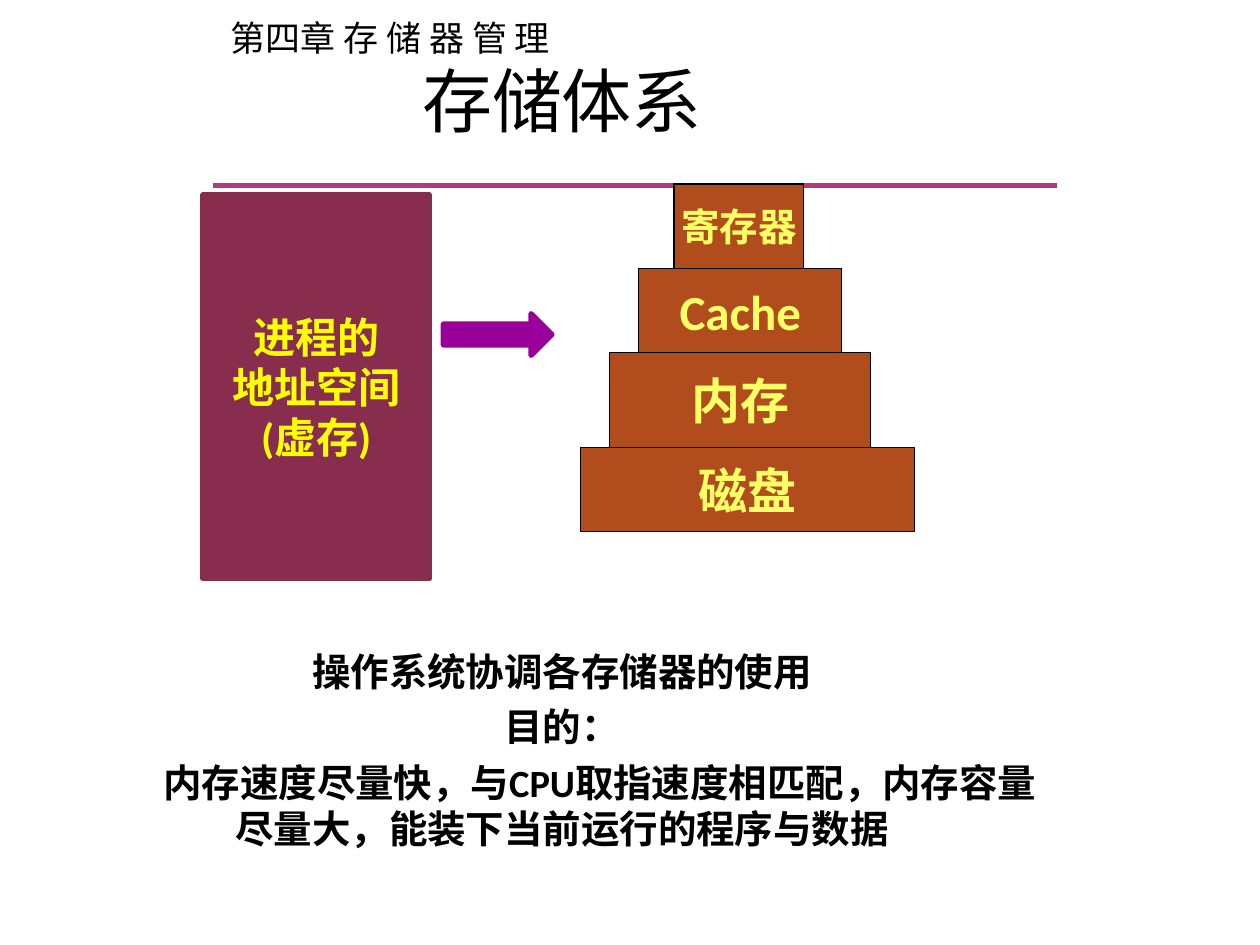
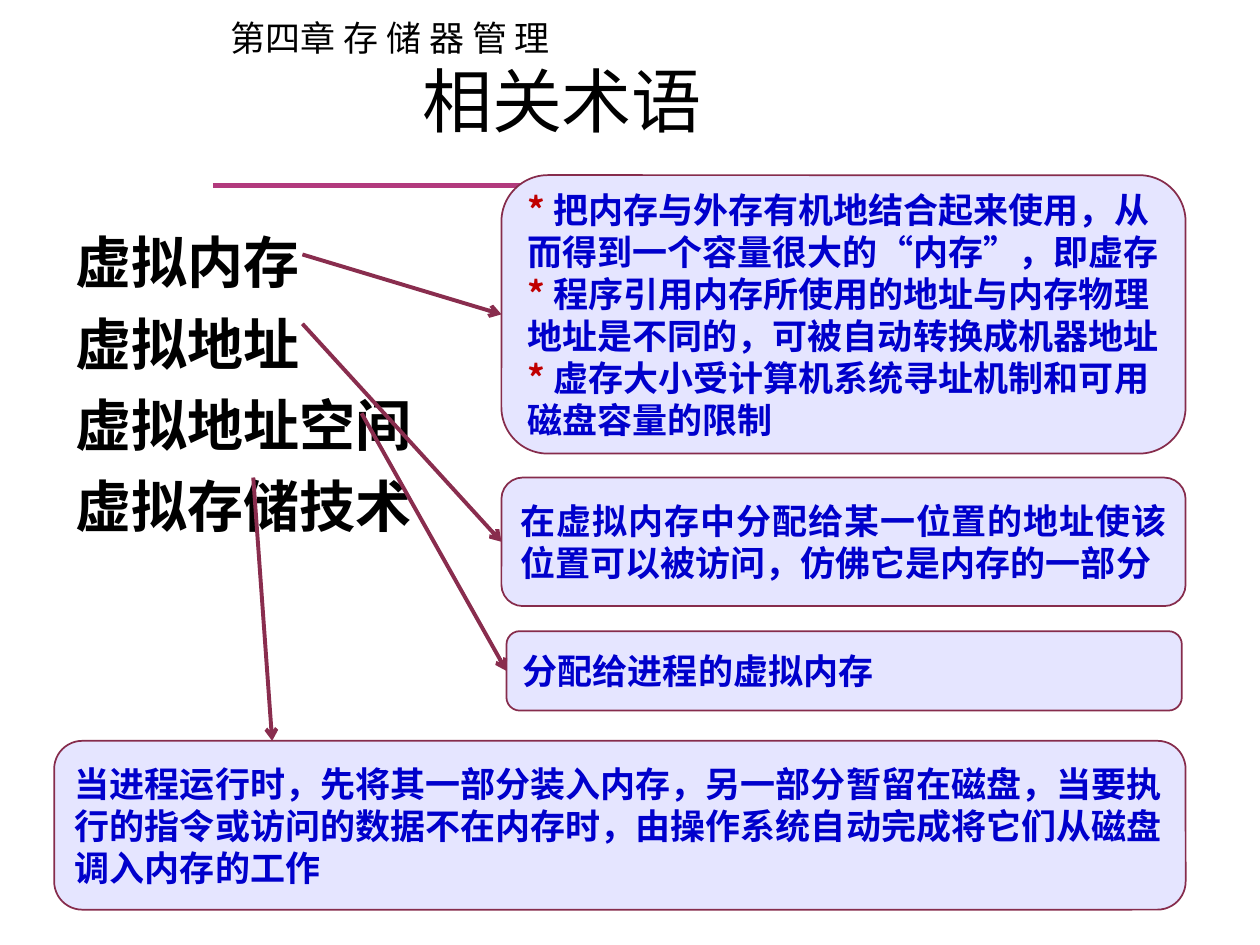
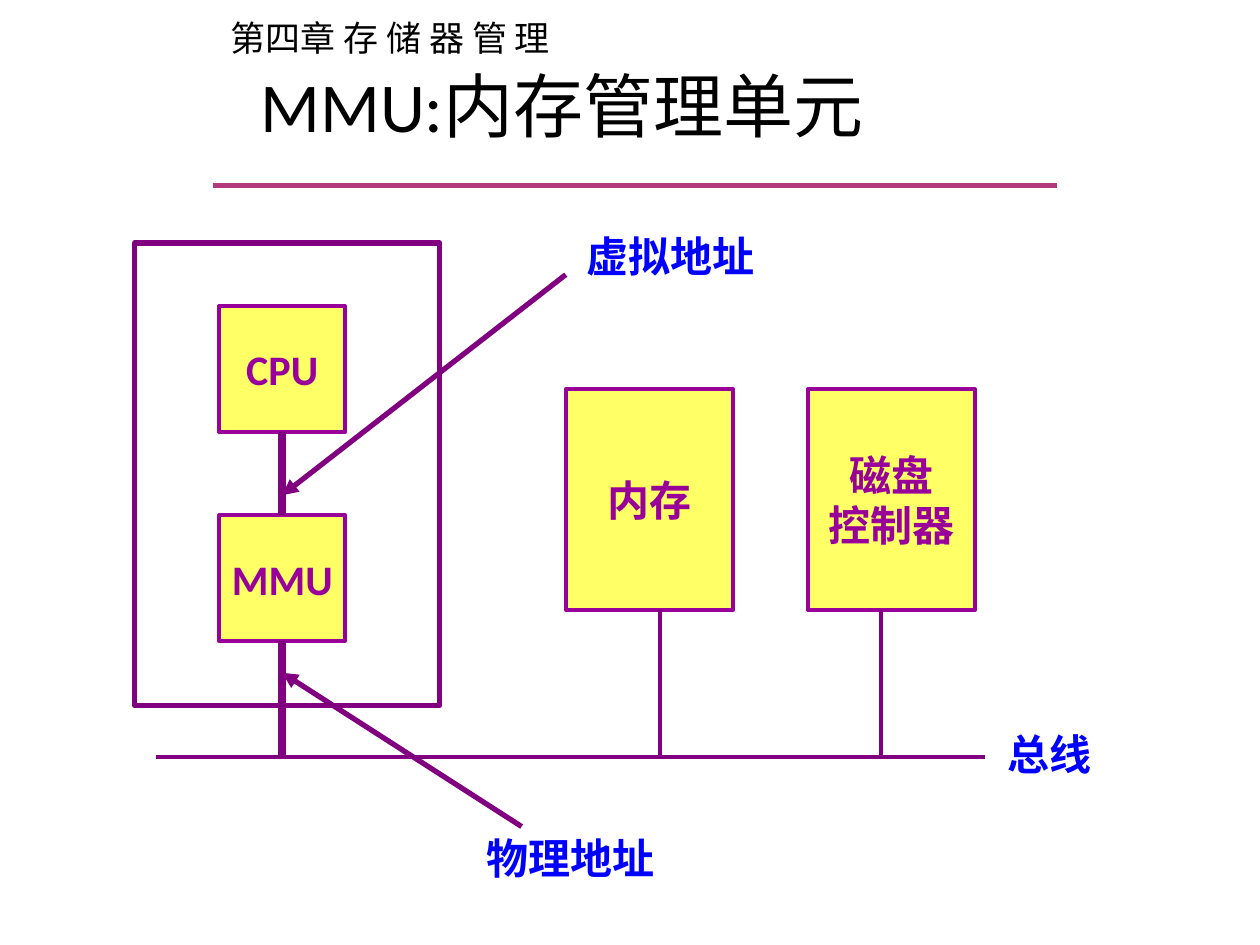
from lxml import etree
from pptx import Presentation
from pptx.dml.color import RGBColor
from pptx.enum.shapes import MSO_CONNECTOR, MSO_SHAPE
from pptx.enum.text import MSO_ANCHOR, MSO_AUTO_SIZE, PP_ALIGN
from pptx.oxml.ns import qn
from pptx.util import Inches, Pt

RECT, ROUNDED, RIGHT_ARROW = MSO_SHAPE.RECTANGLE, MSO_SHAPE.ROUNDED_RECTANGLE, MSO_SHAPE.RIGHT_ARROW
STRAIGHT = MSO_CONNECTOR.STRAIGHT
LEFT, CENTER, JUSTIFY = PP_ALIGN.LEFT, PP_ALIGN.CENTER, PP_ALIGN.JUSTIFY
TOP, MIDDLE = MSO_ANCHOR.TOP, MSO_ANCHOR.MIDDLE
NO_AUTOFIT = MSO_AUTO_SIZE.NONE
TOP_SIDE, LEFT_SIDE, BOTTOM_SIDE = 0, 1, 2

SLIDE_W, SLIDE_H = Inches(10), Inches(7.5)
COLUMNS, ROWS = 100, 75
TITLE_ONLY = 5

CALIBRI, NOTO, TIMES = "Calibri", "Noto Sans CJK SC", "Times New Roman"
BLACK = RGBColor(0x00, 0x00, 0x00)
RULE_PINK = RGBColor(0xB2, 0x3A, 0x7D)
BRICK = RGBColor(0xB1, 0x4C, 0x1D)
PALE_YELLOW = RGBColor(0xFF, 0xFF, 0x66)
YELLOW = RGBColor(0xFF, 0xFF, 0x00)
MAGENTA = RGBColor(0x99, 0x00, 0x99)
PURPLE = RGBColor(0x80, 0x00, 0x80)
WINE = RGBColor(0x89, 0x2D, 0x4E)
WINE_EDGE = RGBColor(0x86, 0x2C, 0x4C)
LAVENDER = RGBColor(0xE5, 0xE5, 0xFF)
NOTE_BLUE = RGBColor(0x00, 0x00, 0xCC)
LABEL_BLUE = RGBColor(0x00, 0x00, 0xFF)
STAR_RED = RGBColor(0xC0, 0x00, 0x00)


def col(n):
    return round(SLIDE_W * n / COLUMNS)


def row(n):
    return round(SLIDE_H * n / ROWS)


def area(left, top, width, height):
    return col(left), row(top), col(width), row(height)


def style_run(run, size, color, font=CALIBRI, bold=True):
    run.font.size = Pt(size)
    run.font.bold = bold
    run.font.color.rgb = color
    run.font.name = font
    etree.SubElement(run.font._element, qn("a:ea"), typeface=NOTO)


def write(frame, lines, size, color, font=CALIBRI, bold=True, align=LEFT,
          anchor=TOP, wrap=True, gap=0):
    frame.text = "\n".join(lines)
    frame.word_wrap = wrap
    frame.auto_size = NO_AUTOFIT
    frame.vertical_anchor = anchor
    for index, paragraph in enumerate(frame.paragraphs):
        paragraph.alignment = align
        if index and gap:
            paragraph.space_before = Pt(gap)
        for run in paragraph.runs:
            style_run(run, size, color, font, bold)


def add_text(slide, place, lines, size, color, **style):
    box = slide.shapes.add_textbox(*place)
    write(box.text_frame, lines, size, color, **style)
    return box


def add_block(slide, kind, place, fill, edge, edge_width):
    block = slide.shapes.add_shape(kind, *place)
    block.shadow.inherit = False
    if fill is None:
        block.fill.background()
    else:
        block.fill.solid()
        block.fill.fore_color.rgb = fill
    block.line.color.rgb = edge
    block.line.width = Pt(edge_width)
    return block


def add_line(slide, start, end, color, width, head=None):
    line = slide.shapes.add_connector(
        STRAIGHT, col(start[0]), row(start[1]), col(end[0]), row(end[1]))
    line.line.color.rgb = color
    line.line.width = Pt(width)
    if head:
        etree.SubElement(line.line._get_or_add_ln(), qn("a:tailEnd"), type=head)
    etree.SubElement(line._element.spPr, qn("a:effectLst"))
    return line


def add_slide(deck, title, font=TIMES, title_height=8.8):
    slide = deck.slides.add_slide(deck.slide_layouts[TITLE_ONLY])
    heading = slide.shapes.title
    heading.left, heading.top, heading.width, heading.height = area(5, 3.5, 79.2, title_height)
    write(heading.text_frame, [title], 40, BLACK, font=font, bold=False,
          align=CENTER, anchor=MIDDLE)
    add_text(slide, area(17.3, 0.8, 28, 4.4), ["第四章 存 储 器 管 理"], 20, BLACK,
             font=NOTO, bold=False, wrap=False)
    add_line(slide, (16.9, 14.7), (83.9, 14.7), RULE_PINK, 3)
    return slide


def add_storage_tower(slide, top):
    tiers = [("寄存器", 53.5, 10.3, 6.7, 22), ("Cache", 50.7, 16.1, 6.7, 28),
             ("内存", 48.4, 20.7, 7.5, 28), ("磁盘", 46.1, 26.5, 6.7, 28)]
    for name, left, width, height, size in tiers:
        tier = add_block(slide, RECT, area(left, top, width, height), BRICK, BLACK, 0.75)
        write(tier.text_frame, [name], size, PALE_YELLOW, align=CENTER,
              anchor=MIDDLE, wrap=False)
        top += height


def build_hierarchy(deck):
    slide = add_slide(deck, "存储体系")
    goals = add_text(slide, area(5, 50.9, 79.2, 19.7),
                     ["操作系统协调各存储器的使用", "目的：",
                      "内存速度尽量快，与CPU取指速度相匹配，内存容量尽量大，能装下当前运行的程序与数据"],
                     22, BLACK, align=CENTER, gap=5.5)
    goals.text_frame.paragraphs[-1]._p.get_or_add_pPr().set("indent", str(col(6)))
    add_storage_tower(slide, 14.6)
    add_block(slide, RIGHT_ARROW, area(35.2, 24.9, 8.6, 3.3), MAGENTA, MAGENTA, 3.15)
    space = add_block(slide, RECT, area(16.1, 15.5, 18, 30.4), WINE, WINE_EDGE, 3.15)
    write(space.text_frame, ["进程的", "地址空间", "(虚存)"], 24, YELLOW,
          align=CENTER, anchor=MIDDLE)


def add_note(slide, place, text, align=LEFT):
    note = add_block(slide, ROUNDED, place, LAVENDER, WINE_EDGE, 1)
    write(note.text_frame, [text], 20, NOTE_BLUE, font=NOTO, align=align, anchor=MIDDLE)
    return note


def add_starred_points(note, points):
    frame = note.text_frame
    for index, parts in enumerate(points):
        paragraph = frame.paragraphs[0] if index == 0 else frame.add_paragraph()
        paragraph.alignment = LEFT
        for text in ["* "] + parts:
            run = paragraph.add_run()
            run.text = text
            style_run(run, 20, STAR_RED if text == "* " else NOTE_BLUE,
                      TIMES if text in "“”" else NOTO)


def build_terms(deck):
    slide = add_slide(deck, "相关术语")
    add_text(slide, area(5, 17.6, 79.2, 53),
             ["虚拟内存", "虚拟地址", "虚拟地址空间", "虚拟存储技术"], 32, BLACK, gap=8)
    add_note(slide, area(4.3, 58.8, 89.8, 13.4),
             "当进程运行时，先将其一部分装入内存，另一部分暂留在磁盘，当要执行的指令或访问的数据"
             "不在内存时，由操作系统自动完成将它们从磁盘调入内存的工作")
    memory = add_note(slide, area(39.8, 13.9, 54.3, 22.1), "")
    add_starred_points(memory, [
        ["把内存与外存有机地结合起来使用，从而得到一个容量很大的", "“", "内存", "”", "，即虚存"],
        ["程序引用内存所使用的地址与内存物理地址是不同的，可被自动转换成机器地址"],
        ["虚存大小受计算机系统寻址机制和可用磁盘容量的限制"]])
    address = add_note(slide, area(39.8, 37.9, 54.3, 10.2),
                       "在虚拟内存中分配给某一位置的地址使该位置可以被访问，仿佛它是内存的一部分", JUSTIFY)
    address_space = add_note(slide, area(40.2, 50.1, 53.6, 6.3), "分配给进程的虚拟内存", JUSTIFY)
    for start, end, note in [((24, 20.2), (39.8, 24.9), memory),
                             ((24, 25.7), (39.8, 43), address),
                             ((28.7, 32.8), (40.2, 53.3), address_space),
                             ((20.1, 37.9), (21.6, 58.8), None)]:
        pointer = add_line(slide, start, end, WINE, 2.25, "arrow")
        if note is not None:
            pointer.end_connect(note, LEFT_SIDE)


def add_unit(slide, place, lines):
    unit = add_block(slide, RECT, place, PALE_YELLOW, MAGENTA, 2.25)
    write(unit.text_frame, lines, 24, MAGENTA, align=CENTER, anchor=MIDDLE, wrap=False)
    return unit


def build_mmu(deck):
    slide = add_slide(deck, "MMU:内存管理单元", CALIBRI, 9.6)
    bus_row, core_col = 60.1, 22.4
    cpu = add_unit(slide, area(17.4, 24.3, 10, 10), ["CPU"])
    mmu = add_unit(slide, area(17.4, 40.9, 10, 10), ["MMU"])
    virtual_link = add_line(slide, (core_col, 34.3), (core_col, 40.9), PURPLE, 4.5)
    virtual_link.begin_connect(cpu, BOTTOM_SIDE)
    virtual_link.end_connect(mmu, TOP_SIDE)
    physical_link = add_line(slide, (core_col, 50.9), (core_col, bus_row), PURPLE, 4.5)
    physical_link.begin_connect(mmu, BOTTOM_SIDE)
    add_line(slide, (12.4, bus_row), (78.2, bus_row), PURPLE, 2.25)
    for left, link_col, lines in [(44.9, 52.4, ["内存"]), (64.1, 69.9, ["磁盘", "控制器"])]:
        add_unit(slide, area(left, 30.9, 13.3, 17.5), lines)
        add_line(slide, (link_col, 48.4), (link_col, bus_row), PURPLE, 2.25)
    add_block(slide, RECT, area(10.7, 19.3, 24.2, 36.7), None, PURPLE, 3)
    for start, end_row in [((44.9, 21.8), 39.3), ((41.4, 65.6), 53.4)]:
        add_line(slide, start, (core_col, end_row), PURPLE, 3, "triangle")
    for label, left, top, width in [("总线", 79, 57.3, 8.6), ("虚拟地址", 45.6, 17.8, 15.9),
                                    ("物理地址", 37.6, 65.6, 15.6)]:
        add_text(slide, area(left, top, width, 5), [label], 24, LABEL_BLUE, wrap=False)


def main():
    deck = Presentation()
    deck.slide_width, deck.slide_height = SLIDE_W, SLIDE_H
    build_hierarchy(deck)
    build_terms(deck)
    build_mmu(deck)
    deck.save("out.pptx")


if __name__ == "__main__":
    main()
